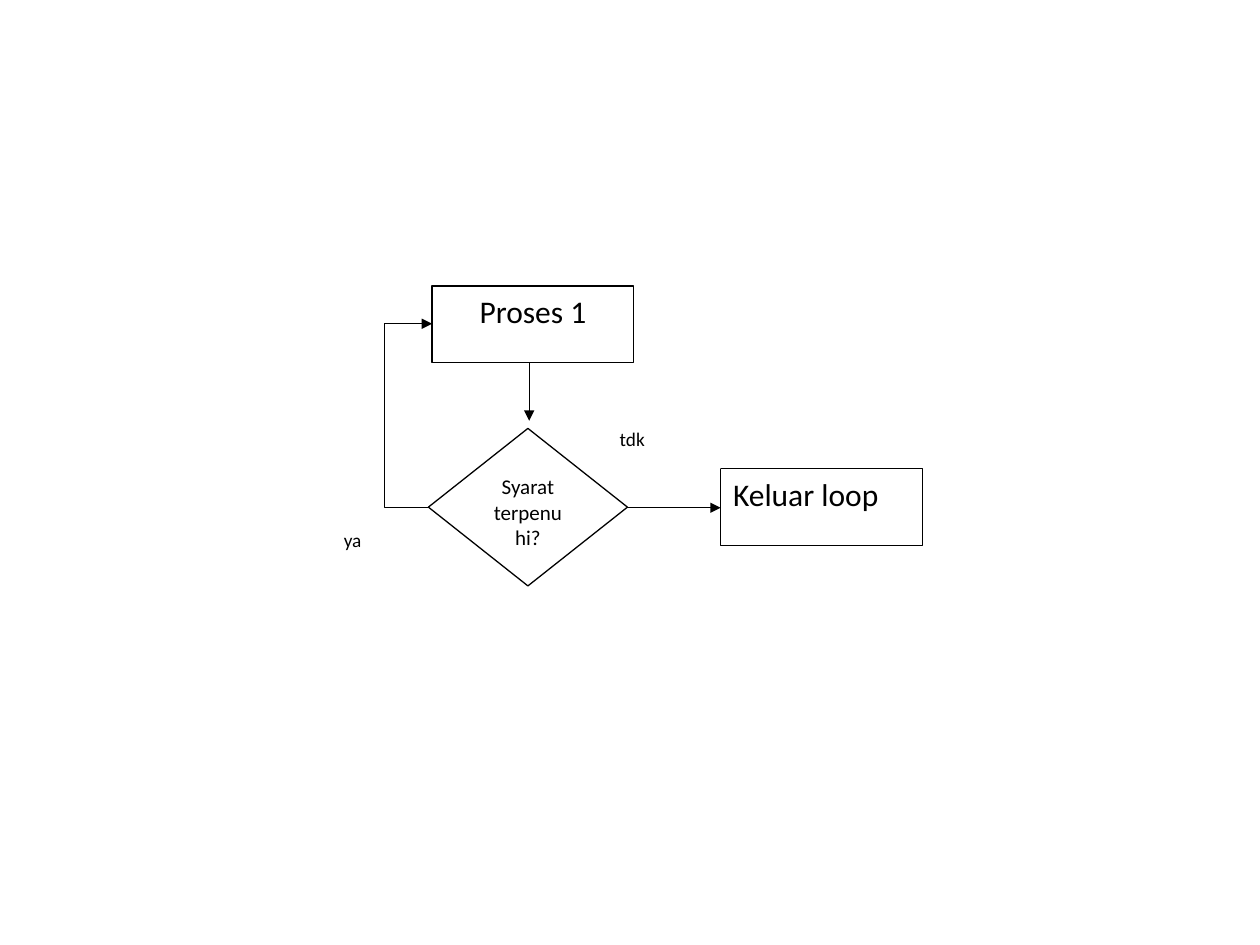
from pptx import Presentation
from pptx.dml.color import RGBColor
from pptx.enum.shapes import MSO_CONNECTOR, MSO_SHAPE
from pptx.enum.text import MSO_ANCHOR, PP_ALIGN
from pptx.oxml.ns import qn
from pptx.util import Inches, Pt
from lxml import etree

RECTANGLE, DIAMOND = MSO_SHAPE.RECTANGLE, MSO_SHAPE.DIAMOND
STRAIGHT, ELBOW = MSO_CONNECTOR.STRAIGHT, MSO_CONNECTOR.ELBOW
LEFT, CENTER = PP_ALIGN.LEFT, PP_ALIGN.CENTER
TOP = MSO_ANCHOR.TOP

THEME = {
    "font": "Calibri",
    "ink": RGBColor(0, 0, 0),
    "paper": RGBColor(255, 255, 255),
    "line": Pt(0.75),
    "process": Pt(18),
    "decision": Pt(12),
    "label": Pt(11),
}

NODES = [
    ("Syarat terpenuhi?", DIAMOND, (3.4, 3.4, 1.58, 1.25), "decision", CENTER),
    ("Proses 1", RECTANGLE, (3.43, 2.27, 1.6, 0.61), "process", CENTER),
    ("Keluar loop", RECTANGLE, (5.72, 3.72, 1.6, 0.61), "process", LEFT),
    ("tdk", RECTANGLE, (4.82, 3.34, 0.9, 0.38), "label", LEFT),
    ("ya", RECTANGLE, (2.63, 4.14, 0.61, 0.38), "label", LEFT),
]
LOOP_X = 3.05
ARROWS = [
    (STRAIGHT, (4.2, 2.88), (4.2, 3.34)),
    (STRAIGHT, (4.98, 4.03), (5.72, 4.03)),
    (ELBOW, (3.4, 4.03), (3.43, 2.57)),
]


def add_node(slide, text, kind, box, style, alignment):
    shape = slide.shapes.add_shape(kind, *map(Inches, box))
    shape.shadow.inherit = False
    shape.fill.solid()
    shape.fill.fore_color.rgb = THEME["paper"]
    if style == "label":
        shape.line.fill.background()
    else:
        shape.line.color.rgb = THEME["ink"]
        shape.line.width = THEME["line"]
    frame = shape.text_frame
    frame.word_wrap = True
    frame.vertical_anchor = TOP
    paragraph = frame.paragraphs[0]
    paragraph.text = text
    paragraph.alignment = alignment
    paragraph.font.name = THEME["font"]
    paragraph.font.size = THEME[style]
    paragraph.font.color.rgb = THEME["ink"]


def add_arrow(slide, kind, start, end):
    connector = slide.shapes.add_connector(kind, *map(Inches, start + end))
    connector.line.color.rgb = THEME["ink"]
    connector.line.width = THEME["line"]
    etree.SubElement(connector.line._get_or_add_ln(), qn("a:tailEnd"), type="triangle")
    properties = connector._element.spPr
    etree.SubElement(properties, qn("a:effectLst"))
    if kind == ELBOW:
        bend = round((LOOP_X - start[0]) / (end[0] - start[0]) * 100000)
        adjustments = properties.find(qn("a:prstGeom")).get_or_add_avLst()
        etree.SubElement(adjustments, qn("a:gd"), name="adj1", fmla=f"val {bend}")


def main():
    presentation = Presentation()
    presentation.slide_width, presentation.slide_height = Inches(10), Inches(7.5)
    slide = presentation.slides.add_slide(presentation.slide_layouts[6])
    for node in NODES:
        add_node(slide, *node)
    for arrow in ARROWS:
        add_arrow(slide, *arrow)
    presentation.save("out.pptx")


if __name__ == "__main__":
    main()
